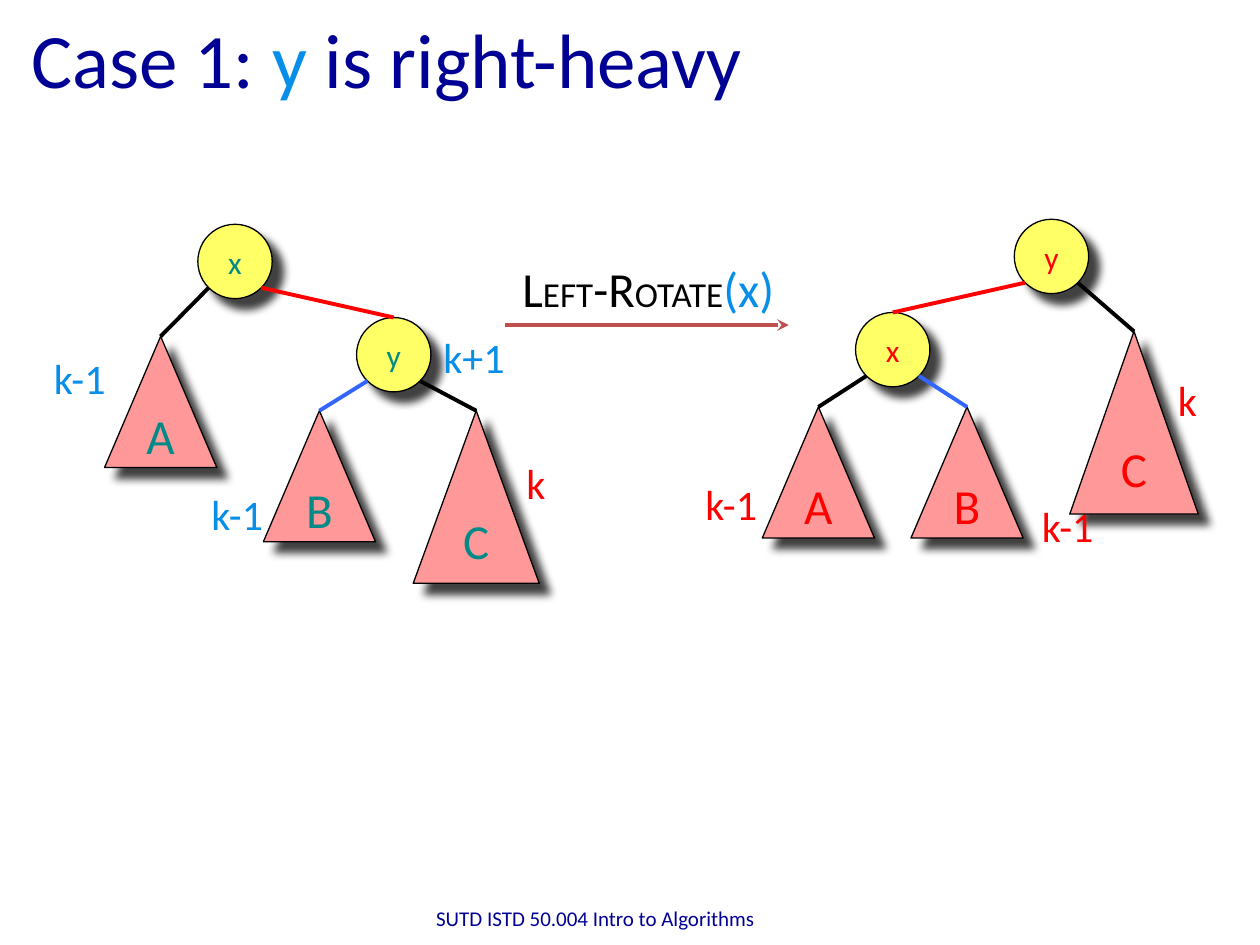
from lxml import etree
from pptx import Presentation
from pptx.dml.color import RGBColor
from pptx.enum.shapes import MSO_CONNECTOR, MSO_SHAPE
from pptx.enum.text import MSO_ANCHOR, PP_ALIGN
from pptx.oxml.ns import qn
from pptx.util import Inches, Pt

OVAL, TRIANGLE = MSO_SHAPE.OVAL, MSO_SHAPE.ISOSCELES_TRIANGLE
STRAIGHT = MSO_CONNECTOR.STRAIGHT
LEFT, CENTER = PP_ALIGN.LEFT, PP_ALIGN.CENTER
TOP, MIDDLE = MSO_ANCHOR.TOP, MSO_ANCHOR.MIDDLE

NAVY = RGBColor(0x00, 0x00, 0x95)
SKY = RGBColor(0x07, 0x8E, 0xE9)
TEAL = RGBColor(0x00, 0x8A, 0x87)
RED = RGBColor(0xFF, 0x00, 0x00)
BLACK = RGBColor(0x00, 0x00, 0x00)
BLUE = RGBColor(0x33, 0x66, 0xFF)
BRICK = RGBColor(0xC0, 0x50, 0x4D)
YELLOW = RGBColor(0xFF, 0xFF, 0x66)
PINK = RGBColor(0xFF, 0x99, 0x99)

FONT = "Calibri"
NODE_SIZE = 0.59
TOP_SITE = 0

# Content: runs are (text, size, colour)
TITLE = [("Case 1: ", 44, NAVY), ("y ", 44, SKY), ("is right-heavy", 44, NAVY)]
OPERATION = [("L", 28, BLACK), ("EFT", 20, BLACK), ("-R", 28, BLACK),
             ("OTATE", 20, BLACK), ("(x)", 28, SKY)]
FOOTER = [("SUTD ISTD 50.004 Intro to Algorithms ", 12, NAVY)]

# nodes: name -> left, top; subtrees: name -> left, top, width, height
# edges: parent, child, side of the parent (-1 left, 1 right), colour
# heights: text, left, top, width, colour
TREES = [
    {
        "text_color": TEAL,
        "nodes": {"y": (2.83, 2.52), "x": (1.57, 1.78)},
        "subtrees": {"C": (3.28, 3.26, 1, 1.37), "B": (2.09, 3.26, 0.89, 1.04),
                     "A": (0.83, 2.67, 0.89, 1.04)},
        "edges": [("x", "y", 1, RED), ("x", "A", -1, BLACK),
                  ("y", "C", 1, BLACK), ("y", "B", -1, BLUE)],
        "heights": [("k-1", 0.33, 2.75, 0.65, SKY), ("k+1", 3.42, 2.58, 0.72, SKY),
                    ("k", 4.08, 3.58, 0.37, RED), ("k-1", 1.58, 3.83, 0.65, SKY)],
    },
    {
        "text_color": RED,
        "nodes": {"x": (6.79, 2.48), "y": (8.05, 1.74)},
        "subtrees": {"A": (6.05, 3.23, 0.89, 1.04), "B": (7.23, 3.23, 0.89, 1.04),
                     "C": (8.49, 2.63, 1.02, 1.45)},
        "edges": [("y", "x", -1, RED), ("y", "C", 1, BLACK),
                  ("x", "A", -1, BLACK), ("x", "B", 1, BLUE)],
        "heights": [("k-1", 5.5, 3.75, 0.65, RED), ("k-1", 8.17, 3.92, 0.65, RED),
                    ("k", 9.25, 2.92, 0.37, RED)],
    },
]

prs = Presentation()
prs.slide_width, prs.slide_height = Inches(10), Inches(7.5)
slide = prs.slides.add_slide(prs.slide_layouts[6])
shapes = slide.shapes


def write(shape, runs, align, anchor, wrap):
    frame = shape.text_frame
    frame.word_wrap = wrap
    frame.vertical_anchor = anchor
    paragraph = frame.paragraphs[0]
    paragraph.alignment = align
    for text, size, color in runs:
        run = paragraph.add_run()
        run.text = text
        run.font.name, run.font.size = FONT, Pt(size)
        run.font.color.rgb = color


def add_label(runs, box, align=LEFT, anchor=TOP, wrap=False):
    write(shapes.add_textbox(*map(Inches, box)), runs, align, anchor, wrap)


def add_shadow(shape):
    shape.shadow.inherit = False
    effects = shape._element.spPr.find(qn("a:effectLst"))
    shadow = etree.SubElement(effects, qn("a:outerShdw"), blurRad=str(Pt(5)),
                              dist=str(Pt(8.5)), dir=str(45 * 60000),
                              algn="ctr", rotWithShape="0")
    color = etree.SubElement(shadow, qn("a:srgbClr"), val=str(BLACK))
    etree.SubElement(color, qn("a:alpha"), val="75000")


def add_part(kind, box, fill, run):
    part = shapes.add_shape(kind, *map(Inches, box))
    part.fill.solid()
    part.fill.fore_color.rgb = fill
    part.line.color.rgb = BLACK
    part.line.width = Pt(0.75)
    add_shadow(part)
    write(part, [run], CENTER, MIDDLE, False)
    return part


def add_line(x1, y1, x2, y2, color):
    line = shapes.add_connector(STRAIGHT, *map(Inches, (x1, y1, x2, y2)))
    line.line.color.rgb = color
    line.line.width = Pt(2.25)
    etree.SubElement(line._element.spPr, qn("a:effectLst"))
    return line


def add_tree(tree):
    color = tree["text_color"]
    parts = {}
    for name, corner in tree["nodes"].items():
        parts[name] = add_part(OVAL, (*corner, NODE_SIZE, NODE_SIZE),
                               YELLOW, (name, 18, color))
    for name, box in tree["subtrees"].items():
        parts[name] = add_part(TRIANGLE, box, PINK, (name, 28, color))

    # Each edge leaves the lower diagonal of a node and meets its child's top
    radius = NODE_SIZE / 2
    diagonal = radius * 0.5 ** 0.5
    for parent, child, side, edge_color in tree["edges"]:
        left, top = tree["nodes"][parent]
        x, y = left + radius + side * diagonal, top + radius + diagonal
        edge = add_line(x, y, x, y, edge_color)
        edge.end_connect(parts[child], TOP_SITE)

    for text, left, top, width, label_color in tree["heights"]:
        add_label([(text, 24, label_color)], (left, top, width, 0.5))


# Title
add_label(TITLE, (0.15, 0.03, 9, 0.85), anchor=MIDDLE, wrap=True)

# Trees before and after the rotation
for tree in TREES:
    add_tree(tree)

# Rotation arrow
add_label(OPERATION, (3.8, 2, 2.69, 0.57), align=CENTER)
arrow = add_line(4.01, 2.58, 6.26, 2.58, BRICK)
etree.SubElement(arrow.line._get_or_add_ln(), qn("a:tailEnd"), type="stealth")

# Footer
add_label(FOOTER, (3.16, 7.09, 3.17, 0.4), CENTER, MIDDLE, True)

prs.save("out.pptx")
